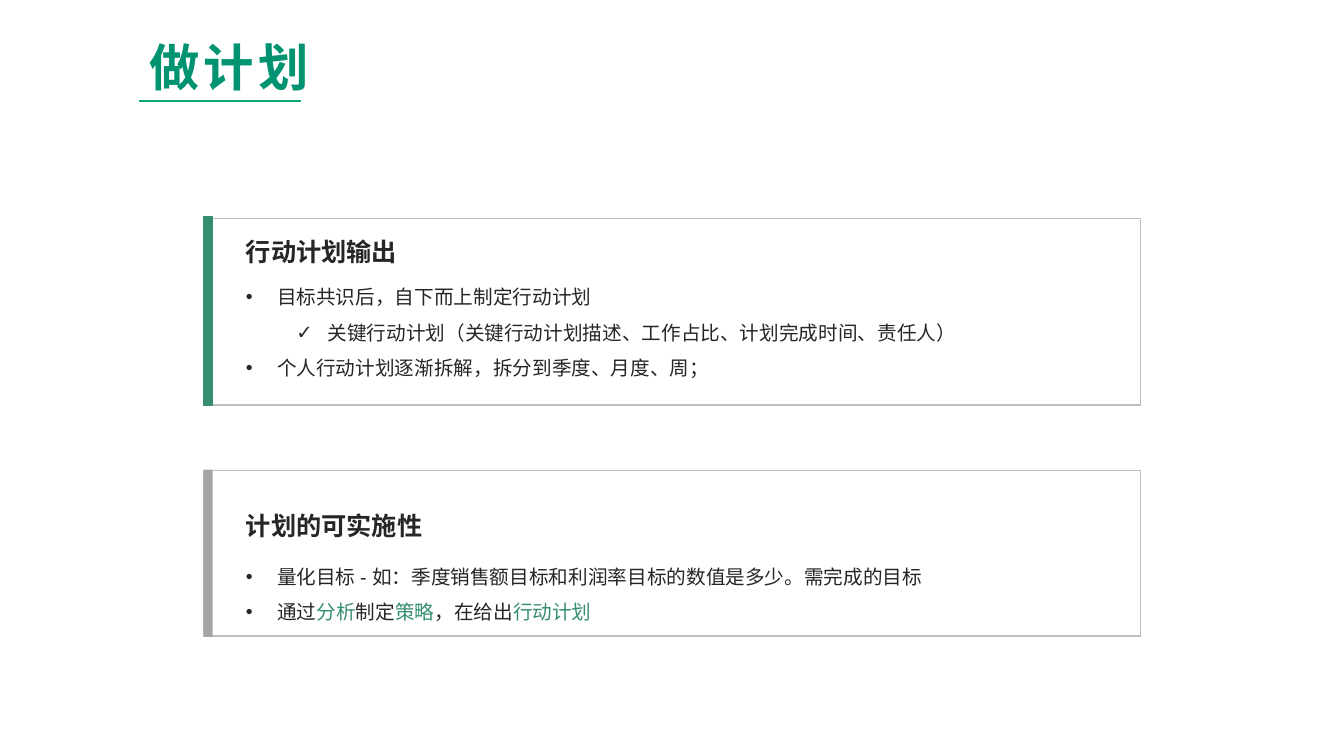
from lxml import etree
from pptx import Presentation
from pptx.dml.color import RGBColor
from pptx.enum.shapes import MSO_CONNECTOR, MSO_SHAPE
from pptx.enum.text import MSO_ANCHOR, MSO_AUTO_SIZE, PP_ALIGN
from pptx.oxml.ns import qn
from pptx.util import Pt

RECTANGLE = MSO_SHAPE.RECTANGLE
STRAIGHT = MSO_CONNECTOR.STRAIGHT
TOP, MIDDLE = MSO_ANCHOR.TOP, MSO_ANCHOR.MIDDLE
GROW = MSO_AUTO_SIZE.SHAPE_TO_FIT_TEXT
LEFT = PP_ALIGN.LEFT

SCALE = 9144  # EMU per px, 100 px to the inch
COLORS = {
    "title": "009371",
    "underline": "0CA678",
    "green": "368E71",
    "grey": "A5A5A5",
    "border": "BFBFBF",
    "text": "262626",
    "white": "FFFFFF",
}
LATIN_FONT, CHINESE_FONT = "Arial", "Noto Sans CJK SC"
CARD_LEFT, CARD_WIDTH, BAR_WIDTH = 202, 929, 9
TEXT_LEFT, TEXT_WIDTH = 234, 865
HANGING, LEVEL_STEP = 31, 50
BULLETS = ["•", "✓"]


def px(*lengths):
    return [length * SCALE for length in lengths]


def color(name):
    return RGBColor.from_string(COLORS[name])


def format_run(run, size, color_name, bold=False, latin=LATIN_FONT):
    run.font.size = Pt(size)
    run.font.bold = bold
    run.font.color.rgb = color(color_name)
    run.font.name = latin
    properties = run.font._element
    etree.SubElement(properties, qn("a:ea"), typeface=CHINESE_FONT)
    return properties


def add_title(slide, text):
    title = slide.shapes.title
    title.left, title.top, title.width, title.height = px(138, 13, 182, 89)
    frame = title.text_frame
    frame.text = text
    frame.word_wrap = False
    frame.auto_size = GROW
    frame.vertical_anchor = TOP
    paragraph = frame.paragraphs[0]
    paragraph.alignment = LEFT
    paragraph.line_spacing = 1.3
    properties = format_run(paragraph.runs[0], 36, "title", True, CHINESE_FONT)
    properties.set("spc", "300")


def add_underline(slide):
    line = slide.shapes.add_connector(STRAIGHT, *px(138, 100, 299, 100))
    line.line.color.rgb = color("underline")
    line.line.width = Pt(1.5)
    etree.SubElement(line._element.spPr, qn("a:effectLst"))


def add_rectangle(group, box, fill, border=None):
    rectangle = group.shapes.add_shape(RECTANGLE, *px(*box))
    rectangle.shadow.inherit = False
    rectangle.fill.solid()
    rectangle.fill.fore_color.rgb = color(fill)
    if border:
        rectangle.line.color.rgb = color(border)
        rectangle.line.width = Pt(1)
    else:
        rectangle.line.fill.background()


def add_text_frame(group, top, height):
    text_box = group.shapes.add_textbox(*px(TEXT_LEFT, top, TEXT_WIDTH, height))
    frame = text_box.text_frame
    frame.word_wrap = True
    frame.vertical_anchor = MIDDLE
    return frame


def set_bullet(paragraph, level):
    paragraph.level = level
    paragraph.line_spacing = 1.5
    margin, indent = px(HANGING + LEVEL_STEP * level, -HANGING)
    properties = paragraph._p.get_or_add_pPr()
    properties.set("marL", str(margin))
    properties.set("indent", str(indent))
    etree.SubElement(properties, qn("a:buFont"), typeface=LATIN_FONT)
    etree.SubElement(properties, qn("a:buChar"), char=BULLETS[level])


def add_heading(group, top, height, text):
    frame = add_text_frame(group, top, height)
    frame.text = text
    format_run(frame.paragraphs[0].runs[0], 18, "text", bold=True)


def add_bullet_list(group, top, height, items):
    frame = add_text_frame(group, top, height)
    for index, (level, parts) in enumerate(items):
        paragraph = frame.add_paragraph() if index else frame.paragraphs[0]
        set_bullet(paragraph, level)
        # Every second part is highlighted
        for position, part in enumerate(parts):
            run = paragraph.add_run()
            run.text = part
            format_run(run, 14, "green" if position % 2 else "text")


def add_card(slide, card):
    group = slide.shapes.add_group_shape()
    top, height = card["frame"]
    add_rectangle(group, (CARD_LEFT, top, CARD_WIDTH, height), "white", "border")
    add_heading(group, *card["heading"])
    add_bullet_list(group, *card["list"])
    bar_top, bar_height = card["bar"]
    add_rectangle(group, (CARD_LEFT, bar_top, BAR_WIDTH, bar_height),
                  card["fill"], card["border"])


CARDS = [
    {
        "frame": (217, 185),
        "bar": (215, 187),
        "fill": "green",
        "border": "green",
        "heading": (217, 64, "行动计划输出"),
        "list": (261, 126, [
            (0, ["目标共识后，自下而上制定行动计划"]),
            (1, ["关键行动计划（关键行动计划描述、工作占比、计划完成时间、责任人）"]),
            (0, ["个人行动计划逐渐拆解，拆分到季度、月度、周；"]),
        ]),
    },
    {
        "frame": (467, 164),
        "bar": (466, 166),
        "fill": "grey",
        "border": None,
        "heading": (493, 56, "计划的可实施性"),
        "list": (536, 96, [
            (0, ["量化目标 - 如：季度销售额目标和利润率目标的数值是多少。需完成的目标"]),
            (0, ["通过", "分析", "制定", "策略", "，在给出", "行动计划"]),
        ]),
    },
]


def main():
    presentation = Presentation()
    presentation.slide_width, presentation.slide_height = px(1333, 750)
    title_only = presentation.slide_layouts[5]
    slide = presentation.slides.add_slide(title_only)

    # Title with its underline
    add_title(slide, "做计划")
    add_underline(slide)

    # Planning cards
    for card in CARDS:
        add_card(slide, card)

    presentation.save("out.pptx")


if __name__ == "__main__":
    main()
